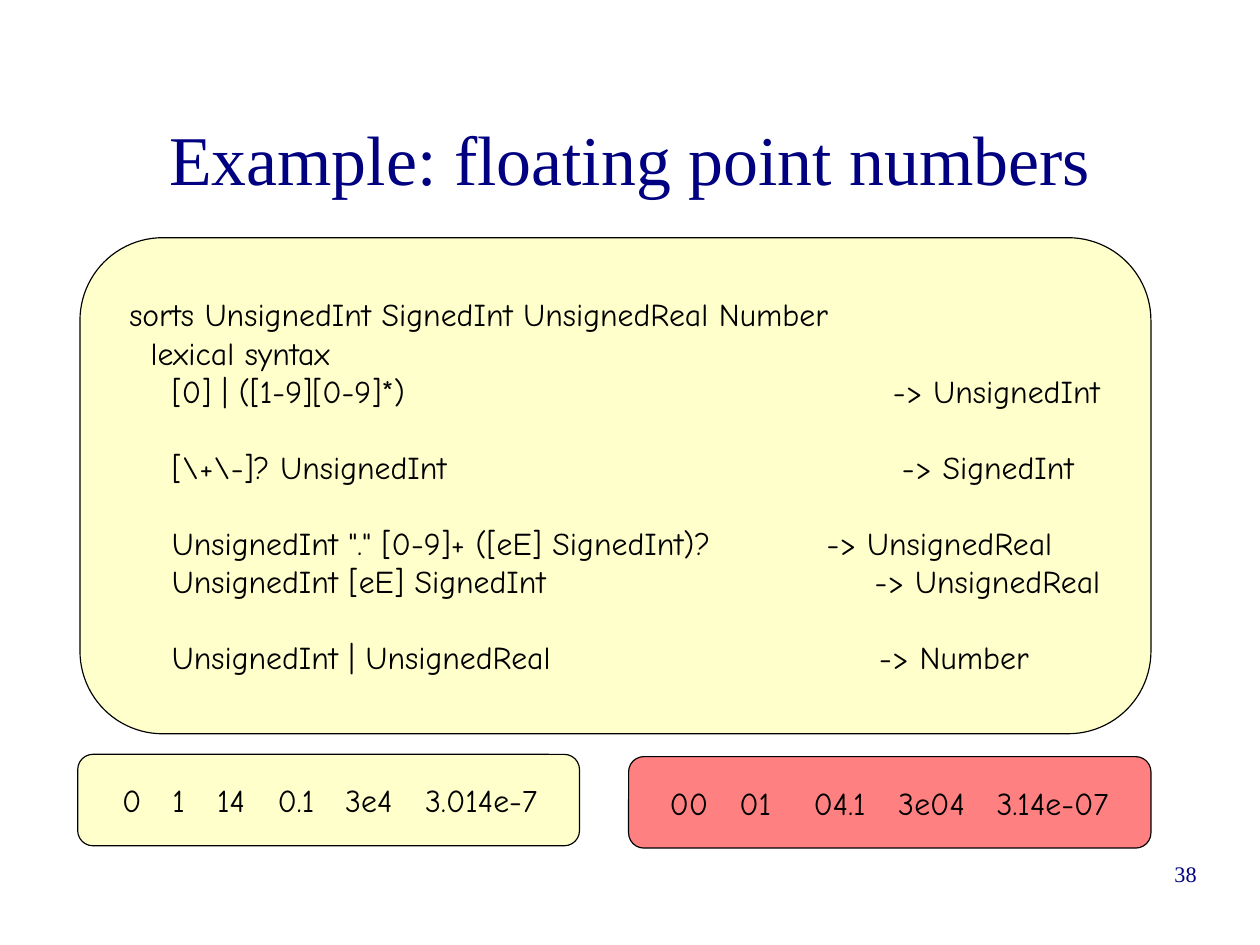
from dataclasses import dataclass

import pptx
import pptx.dml.color
import pptx.enum.shapes
import pptx.enum.text
import pptx.oxml
import pptx.oxml.ns
import pptx.slide
import pptx.text.text
import pptx.util
from lxml import etree

Inches = pptx.util.Inches
Pt = pptx.util.Pt
RGBColor = pptx.dml.color.RGBColor
PP_ALIGN = pptx.enum.text.PP_ALIGN
MSO_ANCHOR = pptx.enum.text.MSO_ANCHOR

NAVY = RGBColor(0x00, 0x00, 0x80)
BLACK = RGBColor(0x00, 0x00, 0x00)
CREAM = RGBColor(0xFF, 0xFF, 0xCC)
CORAL = RGBColor(0xFF, 0x80, 0x80)
CODE_FONT = "Comic Neue"
SERIF_FONT = "Times New Roman"
LINE_HEIGHT = 24
CM_PER_INCH = 2.54


@dataclass(frozen=True)
class Box:
    left: float
    top: float
    width: float
    height: float


@dataclass(frozen=True)
class Line:
    text: str
    tabs: tuple[float, ...] = ()
    gap_before: bool = False


@dataclass(frozen=True)
class Panel:
    box: Box
    fill: RGBColor
    indent: float
    lines: tuple[Line, ...]


@dataclass(frozen=True)
class Label:
    box: Box
    text: str
    size: int
    align: PP_ALIGN
    anchor: MSO_ANCHOR


LABELS = (
    Label(Box(0.81, 0.69, 9.41, 1.38), "Example: floating point numbers", 44,
          PP_ALIGN.CENTER, MSO_ANCHOR.MIDDLE),
    Label(Box(7.9, 7.53, 2.57, 0.57), "38", 14, PP_ALIGN.RIGHT, MSO_ANCHOR.TOP),
)

GRAMMAR = Panel(Box(0.7, 2.08, 9.37, 4.34), CREAM, 0.22, (
    Line("sorts UnsignedInt SignedInt UnsignedReal Number"),
    Line("  lexical syntax"),
    Line("    [0] | ([1-9][0-9]*)\t-> UnsignedInt", (6.68,)),
    Line("    [\\+\\-]? UnsignedInt\t-> SignedInt", (6.76,), True),
    Line('    UnsignedInt "." [0-9]+ ([eE] SignedInt)?\t-> UnsignedReal', (6.1,), True),
    Line("    UnsignedInt [eE] SignedInt\t-> UnsignedReal", (6.52,)),
    Line("    UnsignedInt | UnsignedReal\t-> Number", (6.56,), True),
))
VALID_NUMBERS = Panel(Box(0.68, 6.6, 4.39, 0.8), CREAM, 0.35, (
    Line("0\t1\t14\t0.1\t3e4\t3.014e-7", (0.44, 0.83, 1.36, 1.95, 2.65)),
))
INVALID_NUMBERS = Panel(Box(5.5, 6.62, 4.57, 0.8), CORAL, 0.32, (
    Line("00\t01\t04.1\t3e04\t3.14e-07", (0.61, 1.26, 2.0, 2.86)),
))


def place(box: Box) -> tuple[pptx.util.Length, ...]:
    return Inches(box.left), Inches(box.top), Inches(box.width), Inches(box.height)


def set_insets(frame: pptx.text.text.TextFrame, left: float, vertical: float) -> None:
    frame.word_wrap = True
    frame.margin_left = Inches(left)
    frame.margin_right = Inches(0)
    frame.margin_top = frame.margin_bottom = Inches(vertical)


def style_runs(paragraph: pptx.text.text._Paragraph, font: str, size: int,
               color: RGBColor) -> None:
    for run in paragraph.runs:
        run.font.name = font
        run.font.size = Pt(size)
        run.font.color.rgb = color


def add_tabs(paragraph: pptx.text.text._Paragraph, positions: tuple[float, ...]) -> None:
    properties = paragraph._p.get_or_add_pPr()
    tab_list = etree.SubElement(properties, pptx.oxml.ns.qn("a:tabLst"))
    for position in positions:
        etree.SubElement(tab_list, pptx.oxml.ns.qn("a:tab"),
                         pos=str(Inches(position)), algn="l")


def draw_label(slide: pptx.slide.Slide, label: Label) -> None:
    frame = slide.shapes.add_textbox(*place(label.box)).text_frame
    set_insets(frame, 0, 0)
    frame.vertical_anchor = label.anchor
    frame.text = label.text
    paragraph = frame.paragraphs[0]
    paragraph.alignment = label.align
    style_runs(paragraph, SERIF_FONT, label.size, NAVY)


def draw_panel(slide: pptx.slide.Slide, panel: Panel) -> None:
    shape = slide.shapes.add_shape(
        pptx.enum.shapes.MSO_SHAPE.ROUNDED_RECTANGLE, *place(panel.box))
    shape.shadow.inherit = False
    shape.fill.solid()
    shape.fill.fore_color.rgb = panel.fill
    shape.line.color.rgb = BLACK
    shape.line.width = Pt(0)
    frame = shape.text_frame
    set_insets(frame, panel.indent, 0.05)
    frame.vertical_anchor = MSO_ANCHOR.MIDDLE
    frame.text = "\n".join(line.text for line in panel.lines)
    for paragraph, line in zip(frame.paragraphs, panel.lines):
        paragraph.alignment = PP_ALIGN.LEFT
        if line.gap_before:
            paragraph.space_before = Pt(LINE_HEIGHT)
        if line.tabs:
            add_tabs(paragraph, line.tabs)
        style_runs(paragraph, CODE_FONT, 20, BLACK)


def main() -> None:
    deck = pptx.Presentation()
    deck.slide_width = Inches(28 / CM_PER_INCH)
    deck.slide_height = Inches(21 / CM_PER_INCH)
    slide = deck.slides.add_slide(deck.slide_layouts[6])
    for panel in (GRAMMAR, VALID_NUMBERS, INVALID_NUMBERS):
        draw_panel(slide, panel)
    for label in LABELS:
        draw_label(slide, label)
    deck.save("out.pptx")


if __name__ == "__main__":
    main()
